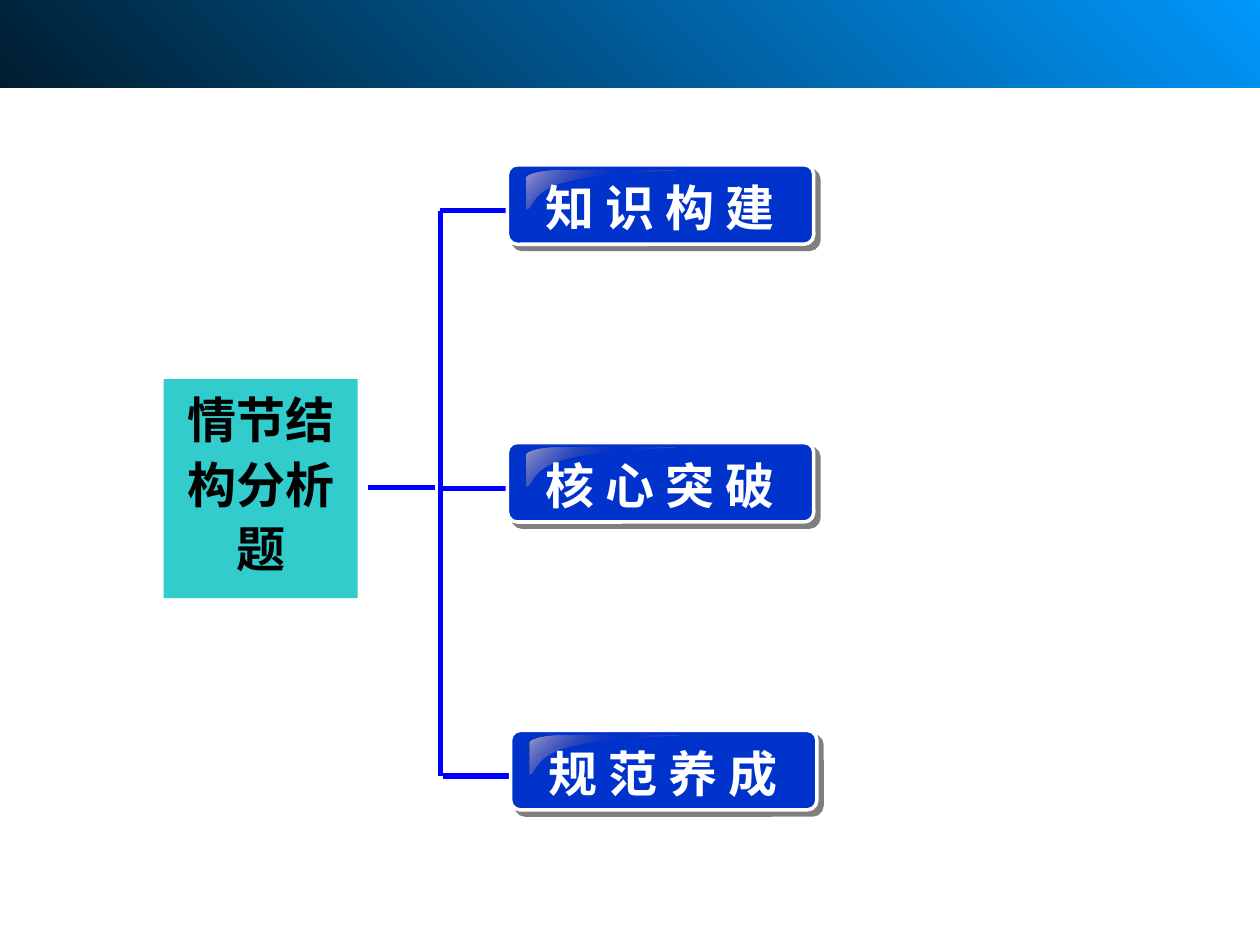
import lxml.etree
import pptx
import pptx.dml.color
import pptx.enum.shapes
import pptx.enum.text
import pptx.oxml
import pptx.oxml.ns
import pptx.util

Pt = pptx.util.Pt
SHAPE = pptx.enum.shapes.MSO_SHAPE
ANCHOR = pptx.enum.text.MSO_ANCHOR
ALIGN = pptx.enum.text.PP_ALIGN
NAMESPACE = pptx.oxml.ns.nsdecls("a")
qn = pptx.oxml.ns.qn

SHADOW = f"""<a:effectLst {NAMESPACE}>
  <a:outerShdw blurRad="0" dist="{Pt(4.2)}" dir="2700000" algn="ctr" rotWithShape="0">
    <a:srgbClr val="000000"><a:alpha val="50000"/></a:srgbClr>
  </a:outerShdw></a:effectLst>"""
CLEAR_STOP = f"""<a:gs {NAMESPACE} pos="50000">
  <a:srgbClr val="333399"><a:alpha val="0"/></a:srgbClr></a:gs>"""


def rgb(value):
    return pptx.dml.color.RGBColor.from_string(value)


def write(box, text, color, anchor, insets, align, spacing):
    """Fill a box with one bold paragraph; insets are left, top, right, bottom."""
    frame = box.text_frame
    frame.word_wrap = True
    frame.vertical_anchor = anchor
    (frame.margin_left, frame.margin_top,
     frame.margin_right, frame.margin_bottom) = map(Pt, insets)
    para = frame.paragraphs[0]
    para.text = text
    para.alignment = align
    para.line_spacing = spacing
    para.font.name = "Times New Roman"
    para.font.size = Pt(28)
    para.font.bold = True
    para.font.color.rgb = rgb(color)


deck = pptx.Presentation()
deck.slide_width, deck.slide_height = Pt(720), Pt(540)
page = deck.slides.add_slide(deck.slide_layouts[6])
shapes = page.shapes

# Header band
banner = shapes.add_shape(SHAPE.RECTANGLE, Pt(0), Pt(-12.2), Pt(720), Pt(62.4))
banner.shadow.inherit = False
banner.line.fill.background()
banner.fill.gradient()
banner.fill.gradient_angle = 225
for stop, color in zip(banner.fill.gradient_stops, ("0099FF", "001D30")):
    stop.color.rgb = rgb(color)

# Root topic
topic = shapes.add_shape(SHAPE.RECTANGLE, Pt(93.5), Pt(216.6), Pt(110.9), Pt(125.2))
topic.shadow.inherit = False
topic.line.fill.background()
topic.fill.solid()
topic.fill.fore_color.rgb = rgb("33CCCC")
write(topic, "情节结构分析题", "000000", ANCHOR.TOP, (7.2, 2.6, 7.2, 11.5), ALIGN.CENTER, 1.1)

branches = [
    ("知 识 构 建", 290, 94.2),
    ("核 心 突 破", 290, 252.9),
    ("规 范 养 成", 291.8, 417.4),
]

# Stem, trunk and one arm per branch
lines = [(210.5, 278.7, 248.6, 278.7), (251.6, 120.4, 251.6, 443.5)]
for label, left, top in branches:
    lines.append((left - 38.4, top + 26.1, left - 0.7, top + 26.1))
for ends in lines:
    line = shapes.add_connector(pptx.enum.shapes.MSO_CONNECTOR.STRAIGHT, *map(Pt, ends))
    line.line.color.rgb = rgb("0000FF")
    line.line.width = Pt(3)
    line._element.spPr.append(pptx.oxml.parse_xml(f"<a:effectLst {NAMESPACE}/>"))

# Highlight outline: three Bezier curves, with a straight edge after the first
highlight = [
    (17.3, 0),
    (7.9, 0), (0, 2.2), (0, 4.3),
    (0, 22.3),
    (4.3, 22.3), (2.2, 11.5), (23.8, 6.5),
    (45.4, 1.4), (87.1, 0.7), (86.4, 0),
]
curve_starts = (0, 4, 7)

for label, left, top in branches:
    button = shapes.add_shape(SHAPE.ROUNDED_RECTANGLE, Pt(left), Pt(top), Pt(175), Pt(45.4))
    button.adjustments[0] = 0.12
    button.fill.solid()
    button.fill.fore_color.rgb = rgb("0033CC")
    button.line.color.rgb = rgb("FFFFFF")
    button.line.width = Pt(2)
    button._element.spPr.append(pptx.oxml.parse_xml(SHADOW))

    points = [(Pt(left + 11 + x), Pt(top + 3 + y)) for x, y in highlight]
    builder = shapes.build_freeform(*points[0])
    builder.add_line_segments(points[1:], close=True)
    gloss = builder.convert_to_shape()
    segments = list(gloss._element.spPr.iter(qn("a:lnTo")))
    for start in curve_starts:
        curve = lxml.etree.Element(qn("a:cubicBezTo"))
        segments[start].addprevious(curve)
        for segment in segments[start:start + 3]:
            curve.append(segment[0])
            segment.getparent().remove(segment)
    gloss.shadow.inherit = False
    gloss.line.fill.background()
    gloss.fill.gradient()
    gloss.fill.gradient_angle = 135
    for stop in gloss.fill.gradient_stops:
        stop.color.rgb = rgb("9B9BCC")
    stops = gloss._element.spPr.find(".//" + qn("a:gsLst"))
    stops.insert(1, pptx.oxml.parse_xml(CLEAR_STOP))

    caption = shapes.add_textbox(Pt(left + 14.6), Pt(top + 3.8), Pt(296), Pt(41))
    write(caption, label, "FFFFFF", ANCHOR.MIDDLE, (7.2, 3.6, 7.2, 3.6), ALIGN.LEFT, 1.0)

deck.save("out.pptx")
